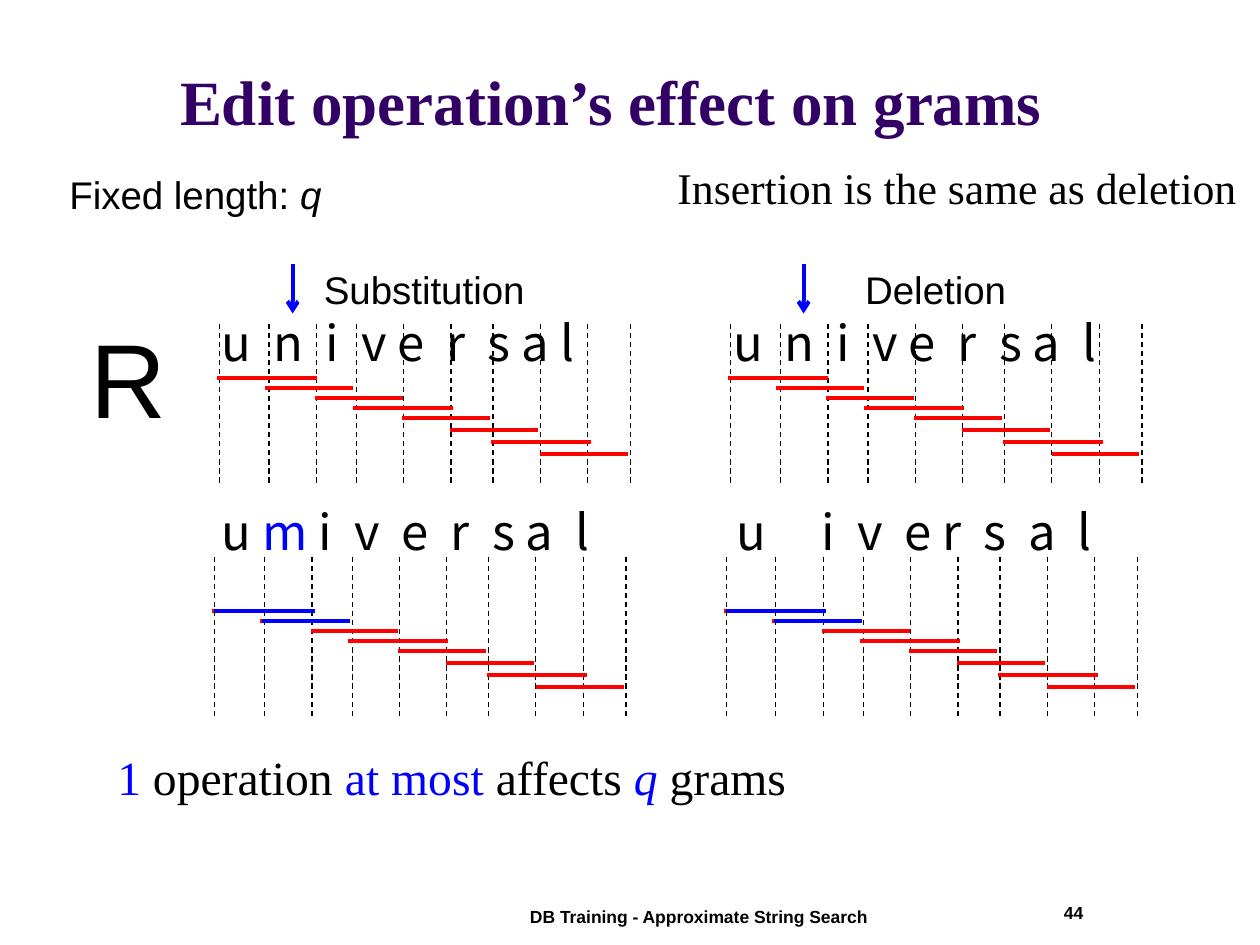
from lxml import etree
from pptx import Presentation
from pptx import util as u
from pptx.dml.color import RGBColor
from pptx.enum import dml, shapes, text
from pptx.oxml.ns import qn

BLACK, RED, BLUE, PURPLE = "000000", "FF0000", "0000FF", "330066"
SANS, SERIF, WIDE = "Arial", "Times New Roman", "Noto Sans CJK KR"
LEFT, CENTER, RIGHT = text.PP_ALIGN.LEFT, text.PP_ALIGN.CENTER, text.PP_ALIGN.RIGHT

# All offsets in cm, from the first guide of a panel
GUIDES = [0, 1, 1.96, 2.77, 3.72, 4.67, 5.52, 6.47, 7.43, 8.29]
GUIDE_HEIGHT = 3.27
# start, drop and length of each gram
GRAMS = [(-0.05, 0, 2.02), (0.92, 0.2, 1.77), (1.93, 0.4, 1.77), (2.69, 0.61, 2.02),
         (3.69, 0.81, 1.77), (4.66, 1.05, 1.77), (5.48, 1.29, 2.02), (6.47, 1.53, 1.77)]
GRAM_TOP = 1.09
AFFECTED = 2

# guide left, guide top, text left, text top, letters, tab stops, affected grams
PANELS = [
    (4.42, 6.53, 4.22, 6.17, [("u\tn\ti\tv\te\tr\ts\ta\tl", {})],
     [1.04, 2.09, 2.81, 3.54, 4.53, 5.36, 6.04, 6.82], 0),
    (4.33, 11.23, 4.22, 9.98,
     [("u\t", {}), ("m", {"color": BLUE}), ("\ti\tv\te\tr\ts\ta\tl", {})],
     [0.82, 1.96, 2.68, 3.63, 4.62, 5.45, 6.13, 7.13], AFFECTED),
    (14.73, 6.53, 14.53, 6.17, [("u\tn\ti\tv\te\tr\ts\ta\tl", {})],
     [1.04, 2.09, 2.81, 3.54, 4.53, 5.36, 6.04, 7.04], 0),
    (14.64, 11.23, 14.6, 9.98, [("u\ti\tv\te\tr\ts\ta\tl", {})],
     [1.71, 2.43, 3.38, 4.15, 4.98, 5.88, 6.88], AFFECTED),
]


def rgb(color):
    return RGBColor.from_string(color)


def place(sp, box):
    for name, value in zip(("left", "top", "width", "height"), box):
        setattr(sp, name, u.Cm(value))


def add_tabs(p, stops):
    tabs = etree.SubElement(p._p.get_or_add_pPr(), qn("a:tabLst"))
    for stop in stops:
        etree.SubElement(tabs, qn("a:tab"), pos=str(int(u.Cm(stop))), algn="l")


def write(sp, runs, align=LEFT, anchor=text.MSO_ANCHOR.TOP, **base):
    """Fill one paragraph; each run is (text, formats that differ from base)."""
    tf = sp.text_frame
    tf.word_wrap = True
    tf.auto_size = text.MSO_AUTO_SIZE.NONE
    tf.vertical_anchor = anchor
    p = tf.paragraphs[0]
    p.alignment = align
    for content, changes in runs:
        r = p.add_run()
        r.text = content
        formats = {"color": BLACK, **base, **changes}
        r.font.color.rgb = rgb(formats.pop("color"))
        for name, value in formats.items():
            setattr(r.font, name, value)
    return p


def add_text(s, box, runs, align, font, size, **base):
    sp = s.shapes.add_textbox(*map(u.Cm, box))
    return write(sp, runs, align, name=font, size=u.Pt(size), **base)


def add_line(s, x1, y1, x2, y2, color, width=2.25, dashed=False, arrow=False):
    sp = s.shapes.add_connector(shapes.MSO_CONNECTOR.STRAIGHT,
                                *map(u.Cm, (x1, y1, x2, y2)))
    sp.line.color.rgb = rgb(color)
    sp.line.width = u.Pt(width)
    if dashed:
        sp.line.dash_style = dml.MSO_LINE.DASH
    if arrow:
        etree.SubElement(sp.line._get_or_add_ln(), qn("a:tailEnd"), type="arrow")
    etree.SubElement(sp._element.spPr, qn("a:effectLst"))


def add_grams(s, x, y, grams, color):
    for start, drop, length in grams:
        add_line(s, x + start, y + drop, x + start + length, y + drop, color)


def add_panel(s, x, y, text_x, text_y, letters, stops, affected):
    """Draw spaced letters with their guides and gram bars."""
    for offset in GUIDES:
        add_line(s, x + offset, y, x + offset, y + GUIDE_HEIGHT, BLACK, 0.75, dashed=True)
    add_grams(s, x, y + GRAM_TOP, GRAMS, RED)
    add_grams(s, x + 0.04, y + GRAM_TOP, GRAMS[:affected], BLUE)
    p = add_text(s, (text_x, text_y, 8.5, 1.45), letters, LEFT, WIDE, 28)
    add_tabs(p, stops)


def add_placeholders(s):
    title, body = s.placeholders
    place(title, (0.3, -0.69, 20.96, 3.61))
    write(title, [("Edit operation’s effect on grams", {})], RIGHT,
          text.MSO_ANCHOR.BOTTOM, name=SERIF, size=u.Pt(36), bold=True, color=PURPLE)

    place(body, (2.11, 14.94, 17.2, 1.57))
    pPr = body.text_frame.paragraphs[0]._p.get_or_add_pPr()
    for name in ("marL", "indent"):
        pPr.set(name, "0")
    etree.SubElement(pPr, qn("a:buNone"))
    blue = {"color": BLUE}
    p = write(body, [("1", blue), (" operation ", {}), ("at most ", blue), ("affects ", {}),
                     ("q", {"color": BLUE, "italic": True}), (" grams", {})],
              name=SERIF, size=u.Pt(27.2))
    p.space_before = u.Pt(0)


def main():
    prs = Presentation()
    prs.slide_width, prs.slide_height = u.Cm(25.4), u.Cm(19.05)
    s = prs.slides.add_slide(prs.slide_layouts[1])
    add_placeholders(s)
    for panel in PANELS:
        add_panel(s, *panel)
    for x, label, label_x in ((5.9, "Substitution ", 5.23), (16.2, "Deletion ", 15.54)):
        add_line(s, x, 5.33, x, 6.32, BLUE, arrow=True)
        add_text(s, (label_x, 5.23, 6.86, 1), [(label, {})], CENTER, SANS, 22)
    add_text(s, (0.51, 3.33, 6.86, 1), [("Fixed length: ", {}), ("q", {"italic": True})],
             CENTER, SANS, 22)
    add_text(s, (9.73, 3.12, 15.67, 1.6), [("Insertion is the same as deletion ", {})],
             RIGHT, SERIF, 25)
    add_text(s, (1.57, 6.2, 2.77, 2.79), [("R", {})], LEFT, SANS, 60)
    add_text(s, (10.06, 18.14, 8.05, 1.27),
             [("DB Training - Approximate String Search", {})], CENTER, SANS, 10, bold=True)
    add_text(s, (18.97, 18.06, 3.12, 1.27), [("44", {})], RIGHT, SANS, 10, bold=True)
    prs.save("out.pptx")


if __name__ == "__main__":
    main()
